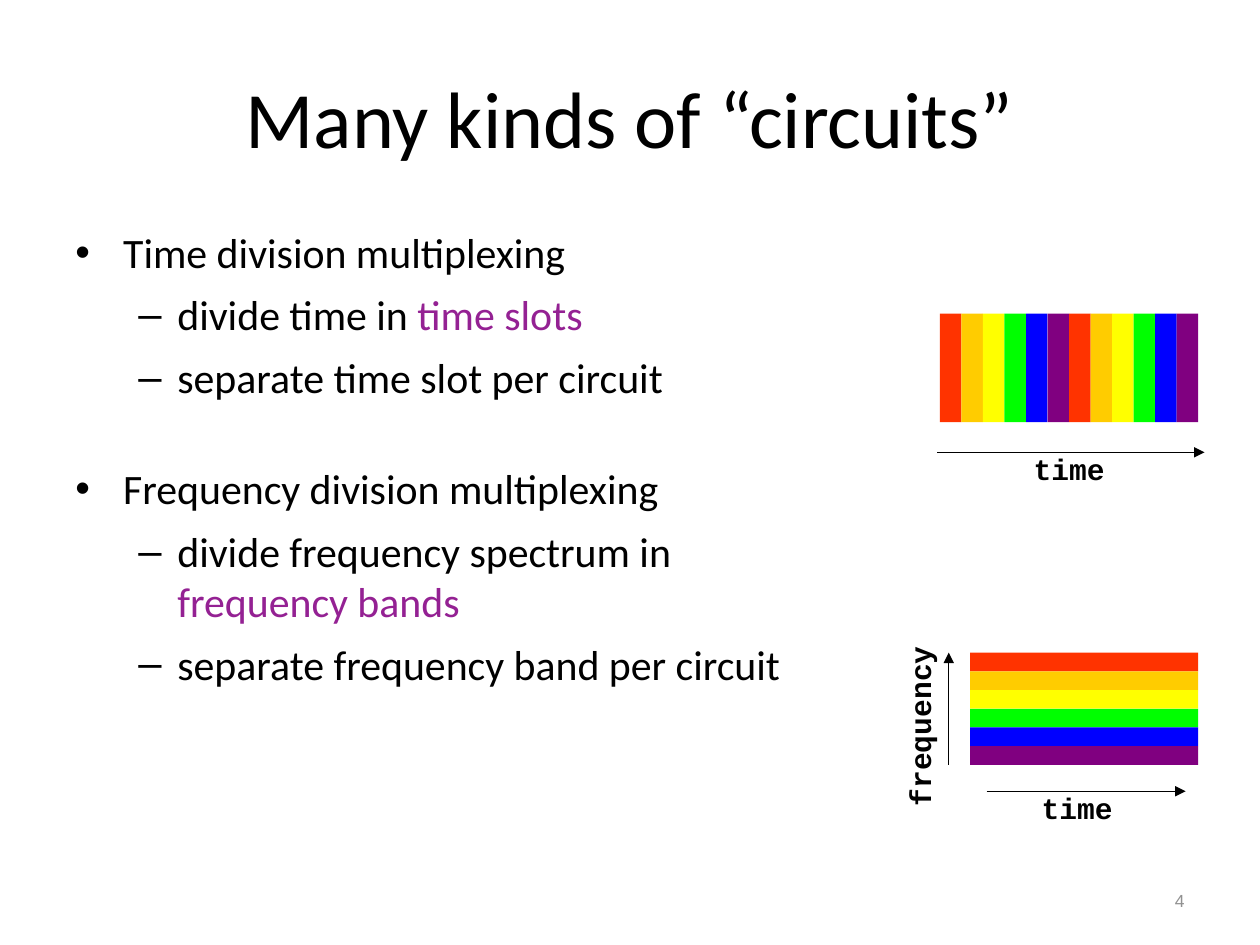
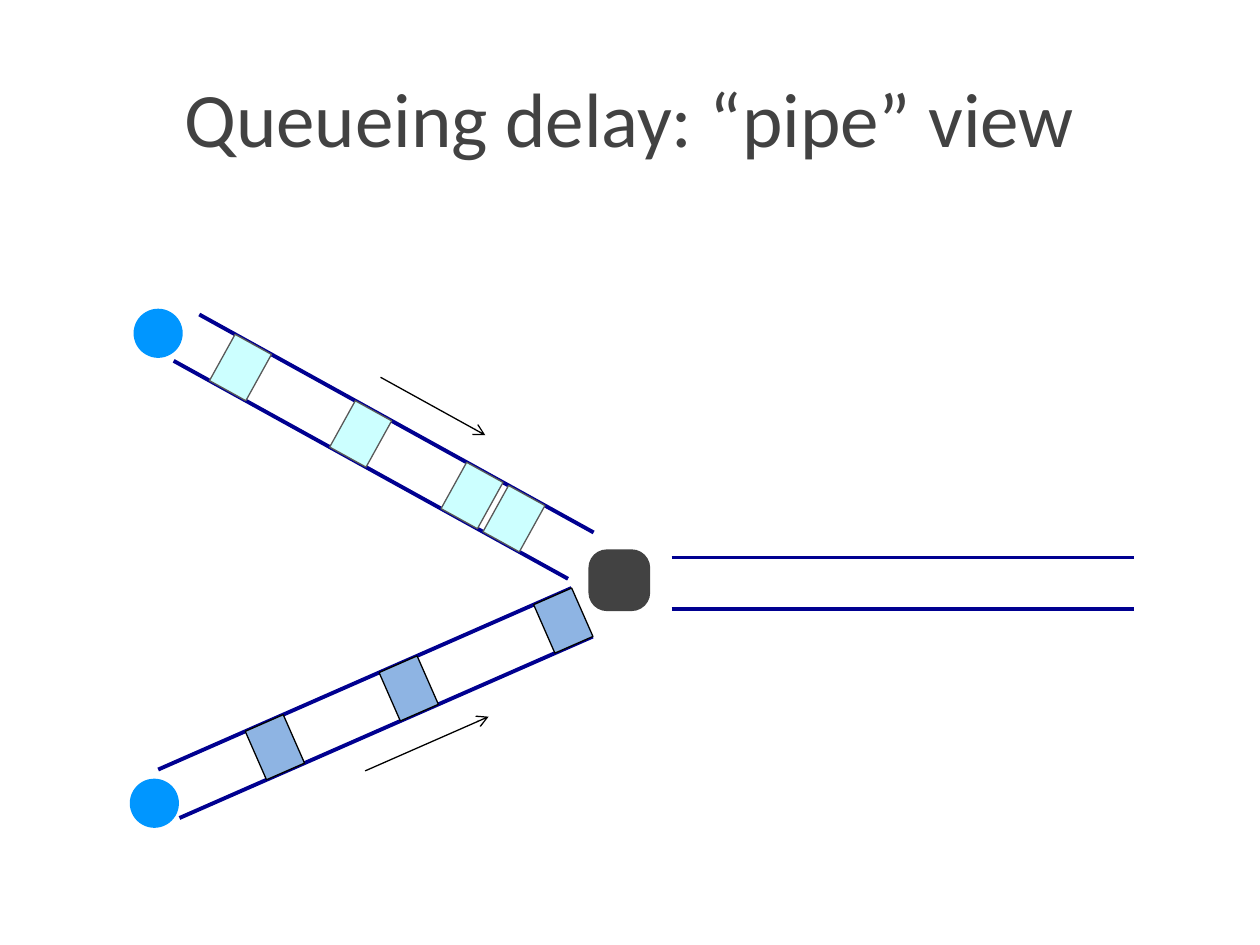
from dataclasses import dataclass
from math import atan2, cos, degrees, hypot, sin

from lxml.etree import SubElement
from pptx import Presentation
from pptx.dml.color import RGBColor
from pptx.enum.shapes import MSO_CONNECTOR, MSO_SHAPE
from pptx.enum.text import MSO_ANCHOR, MSO_AUTO_SIZE, PP_ALIGN
from pptx.oxml.ns import qn
from pptx.util import Inches, Pt


@dataclass(frozen=True)
class Theme:
    """Colours, fonts and type sizes shared by the slides."""
    black: str = "000000"
    charcoal: str = "424242"
    grey: str = "919191"
    purple: str = "942193"
    wall: str = "000090"
    host: str = "0096FF"
    upper_packet: str = "CCFFFF"
    upper_edge: str = "595959"
    lower_packet: str = "8EB4E3"
    rainbow: tuple = ("FF3300", "FFCC00", "FFFF00", "00FF00", "0000FF", "800080")
    text_font: str = "Calibri"
    label_font: str = "Courier New"
    number_font: str = "Arial"
    body_size: float = 23.9
    label_size: float = 16.9
    number_size: float = 10
    thin: float = 0.75
    thick: float = 2.25


@dataclass(frozen=True)
class Box:
    """A rectangle in inches."""
    left: float
    top: float
    width: float
    height: float

    @property
    def right(self):
        """Return the right edge."""
        return self.left + self.width

    @property
    def bottom(self):
        """Return the bottom edge."""
        return self.top + self.height

    def lengths(self):
        """Return the four values as slide lengths."""
        return [Inches(value) for value in (self.left, self.top, self.width, self.height)]


THEME = Theme()
TITLE_BOX = Box(0.5, 0.3, 9, 1.25)
BULLETS = (("•", 0.38, 0.38), ("–", 0.81, 0.31))
OUTLINE = (
    (0, 0, (("Time division multiplexing", False),)),
    (1, 7, (("divide time in ", False), ("time slots", True))),
    (1, 7, (("separate time slot per circuit", False),)),
    (0, 35, (("Frequency division multiplexing", False),)),
    (1, 7, (("divide frequency spectrum in\v", False), ("frequency bands", True))),
    (1, 7, (("separate frequency band per circuit", False),)),
)


def format_font(font, color, **values):
    """Set a font's colour and its other format values."""
    font.color.rgb = RGBColor.from_string(color)
    for name, value in values.items():
        setattr(font, name, value)


def add_title(page, words, size, color):
    """Place and format the title placeholder."""
    title = page.shapes.title
    title.left, title.top, title.width, title.height = TITLE_BOX.lengths()
    frame = title.text_frame
    frame.text = words
    frame.vertical_anchor = MSO_ANCHOR.MIDDLE
    frame.paragraphs[0].alignment = PP_ALIGN.CENTER
    format_font(frame.paragraphs[0].runs[0].font, color, name=THEME.text_font, size=Pt(size))


def add_text(page, box, words, color, align, wrap=True, anchor=MSO_ANCHOR.TOP, **values):
    """Add a one-line text box and return it."""
    shape = page.shapes.add_textbox(*box.lengths())
    frame = shape.text_frame
    frame.word_wrap = wrap
    frame.vertical_anchor = anchor
    frame.auto_size = MSO_AUTO_SIZE.NONE if wrap else MSO_AUTO_SIZE.SHAPE_TO_FIT_TEXT
    paragraph = frame.paragraphs[0]
    paragraph.alignment = align
    span = paragraph.add_run()
    span.text = words
    format_font(span.font, color, **values)
    return shape


def add_label(page, center, top, width, words, turn=0):
    """Add a bold axis label centred on a point across."""
    box = Box(center - width / 2, top, width, 0.39)
    label = add_text(page, box, words, THEME.black, PP_ALIGN.CENTER, wrap=False,
                     name=THEME.label_font, size=Pt(THEME.label_size), bold=True)
    label.rotation = turn


def add_block(page, kind, box, fill, edge=None, turn=0):
    """Add a filled preset shape and return it."""
    shape = page.shapes.add_shape(kind, *box.lengths())
    shape.shadow.inherit = False
    shape.rotation = turn % 360
    shape.fill.solid()
    shape.fill.fore_color.rgb = RGBColor.from_string(fill)
    if edge:
        shape.line.color.rgb = RGBColor.from_string(edge)
        shape.line.width = Pt(THEME.thin)
    else:
        shape.line.fill.background()
    return shape


def add_line(page, start, end, color, width, head=None):
    """Add a straight line, with an arrowhead at its end if named."""
    points = [Inches(value) for value in (*start, *end)]
    line = page.shapes.add_connector(MSO_CONNECTOR.STRAIGHT, *points)
    line.line.color.rgb = RGBColor.from_string(color)
    line.line.width = Pt(width)
    if head:
        SubElement(line.line._get_or_add_ln(), qn("a:tailEnd"), type=head)
    SubElement(line._element.spPr, qn("a:effectLst"))


def add_outline(page, box):
    """Add the two-level bullet list."""
    frame = page.shapes.add_textbox(*box.lengths()).text_frame
    frame.word_wrap = True
    for index, (level, space, spans) in enumerate(OUTLINE):
        paragraph = frame.add_paragraph() if index else frame.paragraphs[0]
        mark, margin, hanging = BULLETS[level]
        properties = paragraph._p.get_or_add_pPr()
        properties.set("marL", str(Inches(margin)))
        properties.set("indent", str(-Inches(hanging)))
        SubElement(properties, qn("a:buFont"), typeface=THEME.number_font)
        SubElement(properties, qn("a:buChar"), char=mark)
        paragraph.level = level
        paragraph.space_before = Pt(space)
        for words, stressed in spans:
            for position, piece in enumerate(words.split("\v")):
                if position:
                    paragraph.add_line_break()
                if piece:
                    span = paragraph.add_run()
                    span.text = piece
                    format_font(span.font, THEME.purple if stressed else THEME.black,
                                name=THEME.text_font, size=Pt(THEME.body_size))


def add_time_axis(page, left, right, top, label_center):
    """Add a time arrow with its label beneath."""
    add_line(page, (left, top), (right, top), THEME.black, THEME.thin, "triangle")
    add_label(page, label_center, top - 0.06, 0.77, "time")


def add_time_slots(page, box):
    """Draw two rounds of time slots side by side."""
    colors = THEME.rainbow * 2
    width = box.width / len(colors)
    for index, color in enumerate(colors):
        slot = Box(box.left + index * width, box.top, width, box.height)
        add_block(page, MSO_SHAPE.RECTANGLE, slot, color)
    add_time_axis(page, box.left - 0.02, box.right + 0.05, box.bottom + 0.24,
                  box.left + box.width / 2)


def add_frequency_bands(page, box):
    """Draw stacked frequency bands with both axes."""
    height = box.height / len(THEME.rainbow)
    for index, color in enumerate(THEME.rainbow):
        band = Box(box.left, box.top + index * height, box.width, height)
        add_block(page, MSO_SHAPE.RECTANGLE, band, color)
    axis = box.left - 0.17
    add_line(page, (axis, box.bottom), (axis, box.top), THEME.black, THEME.thin, "triangle")
    add_label(page, box.left - 0.4, box.top + 0.39, 1.48, "frequency", 270)
    add_time_axis(page, box.left + 0.13, box.right - 0.1, box.bottom + 0.21, box.left + 0.85)


def add_pipe(page, start, end, gauge, packets=(), fill=None, edge=None, flow=None):
    """Draw a pipe along its axis, with packets and a flow arrow beside it."""
    across, down = end[0] - start[0], end[1] - start[1]
    length, angle = hypot(across, down), atan2(down, across)

    def locate(along, aside):
        """Return the point at a distance along and beside the axis."""
        return (start[0] + along * cos(angle) - aside * sin(angle),
                start[1] + along * sin(angle) + aside * cos(angle))

    for aside in (-gauge / 2, gauge / 2):
        add_line(page, locate(0, aside), locate(length, aside), THEME.wall, THEME.thick)
    for along in packets:
        x, y = locate(along, 0)
        packet = Box(x - 0.165, y - gauge / 2, 0.33, gauge)
        add_block(page, MSO_SHAPE.RECTANGLE, packet, fill, edge, degrees(angle))
    if flow:
        aside, reach = flow
        add_line(page, locate(1.5, aside), locate(1.5 + reach, aside),
                 THEME.black, THEME.thin, "arrow")


def add_network(page, box):
    """Draw two hosts feeding one router and its outgoing pipe."""
    def at(x, y):
        """Return a point relative to the box."""
        return box.left + x, box.top + y

    add_pipe(page, at(0.45, 0.23), at(3.58, 1.96), 0.42, (0.49, 1.58, 2.59, 2.97),
             THEME.upper_packet, THEME.upper_edge, (-0.47, 0.95))
    add_pipe(page, at(0.31, 3.85), at(3.59, 2.41), 0.42, (0.92, 2.08, 3.42),
             THEME.lower_packet, THEME.black, (0.46, 1.07))
    add_pipe(page, at(4.3, 2.18), at(7.97, 2.18), 0.41)
    for corner in (at(0.03, 0), at(0, 3.73)):
        add_block(page, MSO_SHAPE.OVAL, Box(*corner, 0.39, 0.39), THEME.host)
    router = add_block(page, MSO_SHAPE.ROUNDED_RECTANGLE, Box(*at(3.64, 1.91), 0.49, 0.49),
                       THEME.charcoal)
    router.adjustments[0] = 0.3


def build_circuits(page):
    """Build the slide on kinds of circuits."""
    add_title(page, "Many kinds of “circuits”", 45.7, THEME.black)
    add_outline(page, Box(0.5, 1.75, 9, 4.95))
    add_text(page, Box(7.17, 6.95, 2.33, 0.4), "4", THEME.grey, PP_ALIGN.RIGHT,
             anchor=MSO_ANCHOR.MIDDLE, name=THEME.number_font, size=Pt(THEME.number_size))
    add_time_slots(page, Box(7.46, 2.49, 2.05, 0.86))
    add_frequency_bands(page, Box(7.7, 5.18, 1.81, 0.89))


def build_queueing(page):
    """Build the slide on queueing delay."""
    add_title(page, "Queueing delay: “pipe” view", 44, THEME.charcoal)
    add_network(page, Box(1.03, 2.45, 7.97, 4.12))


def main():
    """Build and save the deck."""
    deck = Presentation()
    deck.slide_width, deck.slide_height = Inches(10), Inches(7.5)
    for build in (build_circuits, build_queueing):
        build(deck.slides.add_slide(deck.slide_layouts[5]))
    deck.save("out.pptx")


if __name__ == "__main__":
    main()
